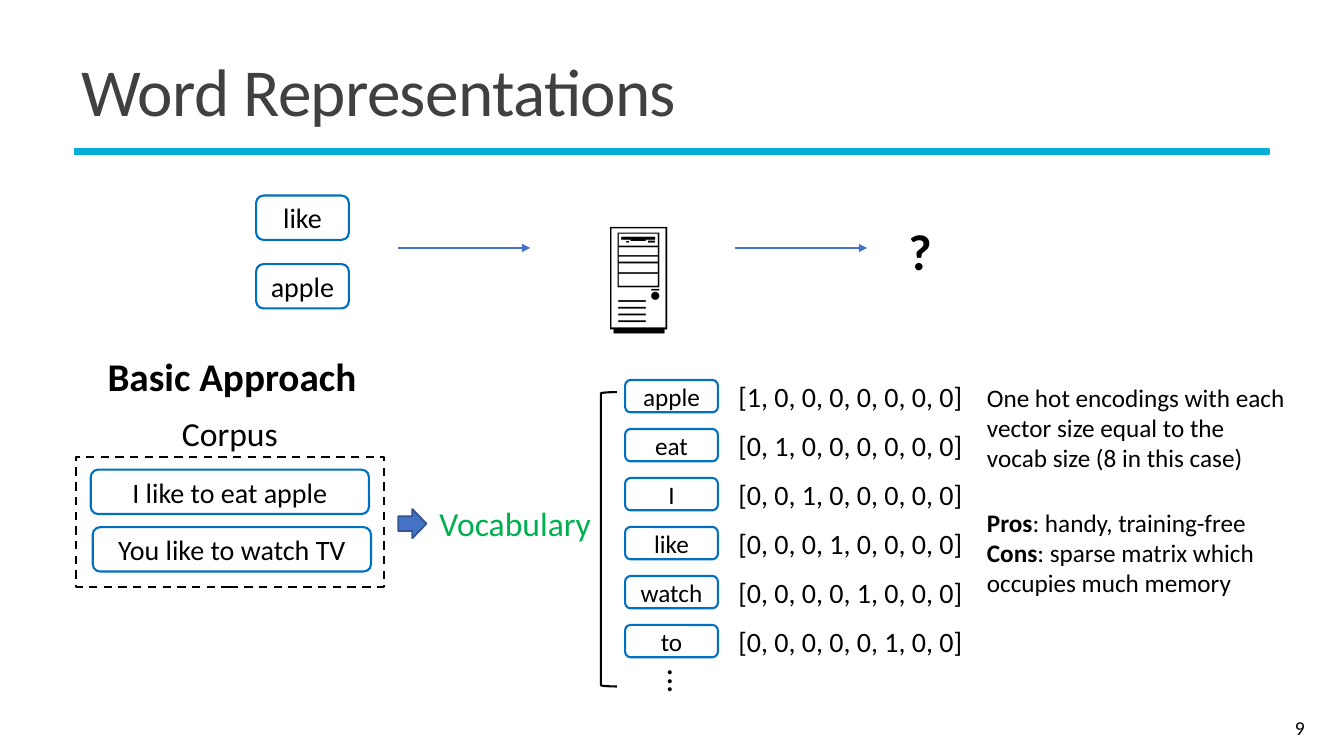
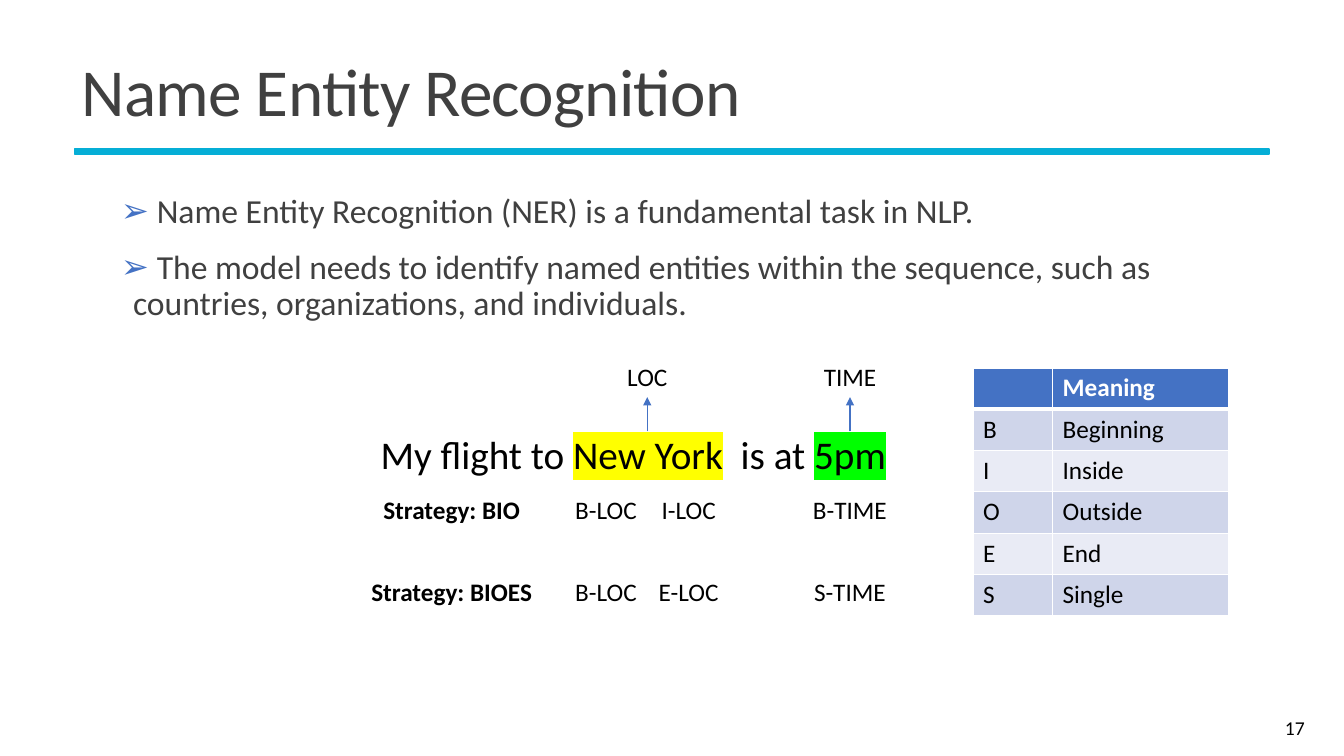
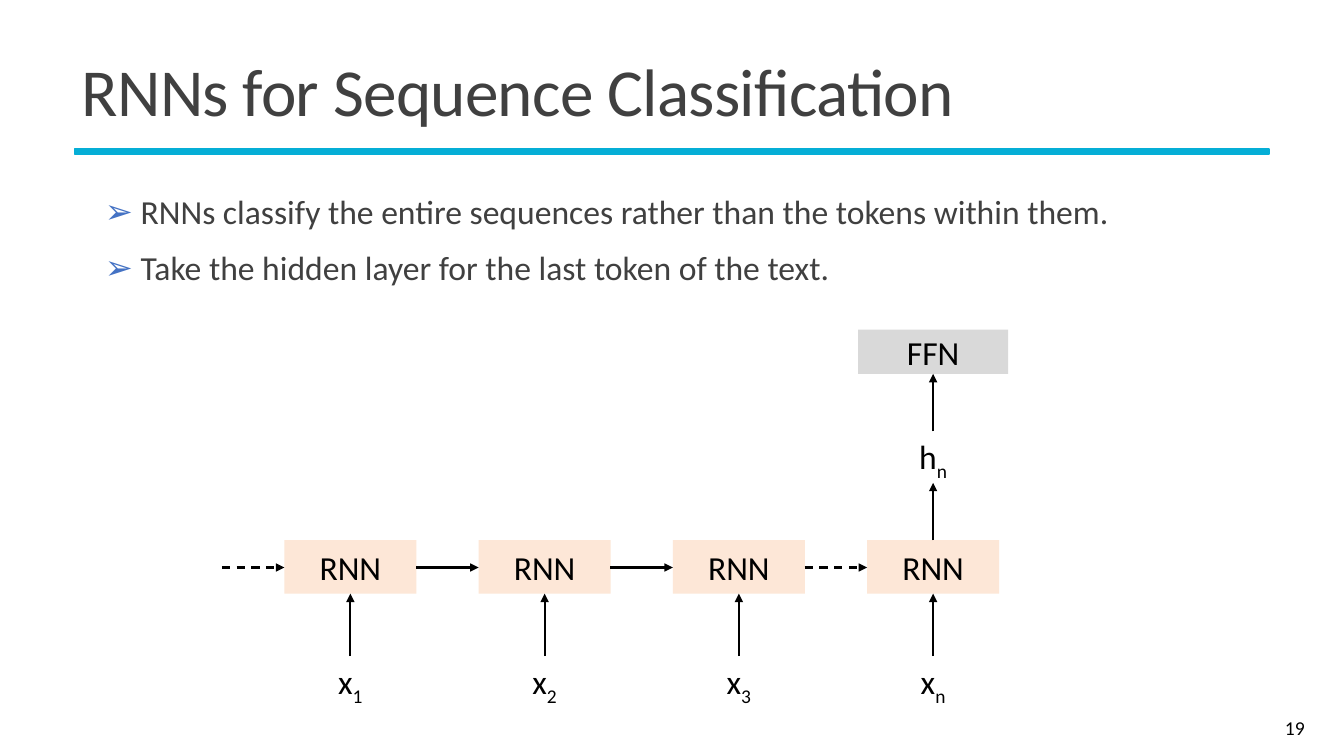
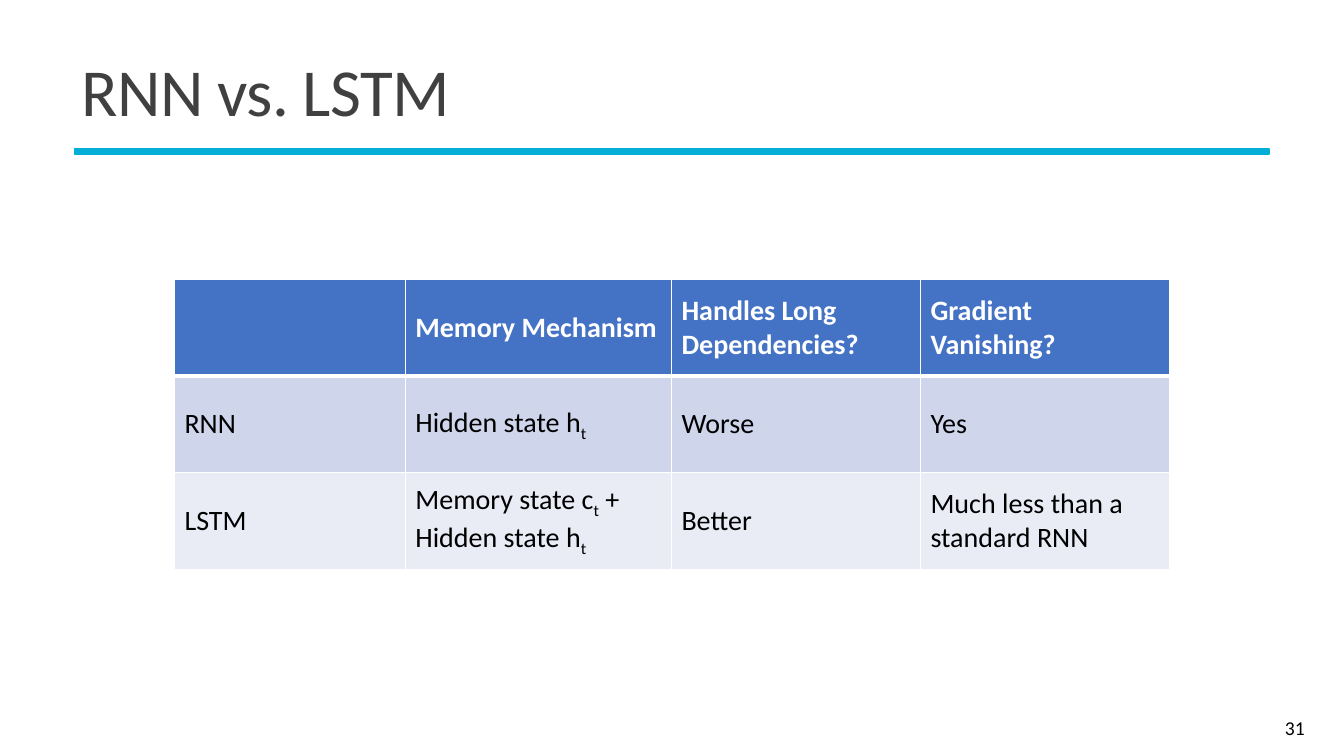
from dataclasses import dataclass
from typing import NamedTuple

from lxml.etree import SubElement
from pptx import Presentation
from pptx.dml.color import RGBColor
from pptx.enum.dml import MSO_LINE
from pptx.enum.shapes import MSO_CONNECTOR, MSO_SHAPE
from pptx.enum.text import MSO_ANCHOR, MSO_AUTO_SIZE, PP_ALIGN
from pptx.oxml.ns import qn
from pptx.util import Inches, Pt


@dataclass(frozen=True)
class Theme:
    font: str = "Calibri"
    black: str = "000000"
    white: str = "FFFFFF"
    grey: str = "404040"
    pale: str = "D9D9D9"
    peach: str = "FDE7D7"
    cyan: str = "05AED6"
    blue: str = "4472C4"
    navy: str = "325491"
    edge: str = "0070C0"
    green: str = "00B050"
    bands: tuple = ("E9EBF5", "CFD5EA")
    marks: tuple = ("FFFF00", "00FF00")
    title: int = 48
    huge: int = 80
    big: int = 36
    head: int = 28
    body: int = 24
    mid: int = 20
    small: int = 18
    page: int = 14


T = Theme()


class Box(NamedTuple):
    x: float
    y: float
    w: float
    h: float


class Span(NamedTuple):
    text: str
    bold: bool | None = None
    sub: bool = False
    mark: str | None = None


class Label(NamedTuple):
    text: str
    box: Box
    size: int = T.small
    bold: bool = False
    hue: str = T.black


Line = str | list[str | Span]
BAR = Box(0.74, 1.48, 11.85, 0.05)
TITLE = Box(0.71, 0.39, 11.94, 1.13)
PAGE = Box(11.61, 7.02, 1.43, 0.4)


def rgb(hue: str) -> RGBColor:
    return RGBColor.from_string(hue)


def place(shape, box: Box) -> None:
    shape.left, shape.top, shape.width, shape.height = map(Inches, box)


def put(frame, *lines: Line, size: int = T.small, hue: str = T.black,
        bold: bool = False, align=PP_ALIGN.CENTER, lead: float | None = None,
        track: int = 0) -> None:
    """Fill a text frame, one paragraph a line, in one format."""
    for i, line in enumerate(lines):
        para = frame.paragraphs[0] if i == 0 else frame.add_paragraph()
        para.alignment = align
        if lead:
            para.line_spacing = lead
        for part in [line] if isinstance(line, str) else line:
            span = Span(part) if isinstance(part, str) else part
            run = para.add_run()
            run.text = span.text
            font = run.font
            font.name, font.size = T.font, Pt(size)
            font.bold = bold if span.bold is None else span.bold
            font.color.rgb = rgb(hue)
            props = run.font._element
            if track:
                props.set("spc", str(track))
            if span.sub:
                props.set("baseline", "-25000")
            if span.mark:
                mark = SubElement(props, qn("a:highlight"))
                SubElement(mark, qn("a:srgbClr"), val=span.mark)
                props.find(qn("a:latin")).addprevious(mark)


def write(slide, box: Box, *lines: Line, wrap: bool = True,
          anchor=MSO_ANCHOR.TOP, turn: int = 0, **style) -> None:
    """Add a text box."""
    shape = slide.shapes.add_textbox(*map(Inches, box))
    shape.rotation = turn
    frame = shape.text_frame
    frame.word_wrap = wrap
    frame.vertical_anchor = anchor
    put(frame, *lines, **style)


def draw(slide, kind, box: Box, text: str = "", fill: str | None = None,
         edge: str | None = None, width: float = 1.5, dash: bool = False,
         **style):
    """Add a preset shape."""
    shape = slide.shapes.add_shape(kind, *map(Inches, box))
    shape.shadow.inherit = False
    if fill:
        shape.fill.solid()
        shape.fill.fore_color.rgb = rgb(fill)
    else:
        shape.fill.background()
    if edge:
        shape.line.color.rgb = rgb(edge)
        shape.line.width = Pt(width)
        if dash:
            shape.line.dash_style = MSO_LINE.DASH
    else:
        shape.line.fill.background()
    if text:
        shape.text_frame.vertical_anchor = MSO_ANCHOR.MIDDLE
        put(shape.text_frame, text, **style)
    return shape


def pill(slide, box: Box, text: str, size: int = T.mid) -> None:
    draw(slide, MSO_SHAPE.ROUNDED_RECTANGLE, box, text, edge=T.edge, size=size)


def arrow(slide, start: tuple[float, float], end: tuple[float, float],
          hue: str = T.black, width: float = 1.5, dash: bool = False) -> None:
    link = slide.shapes.add_connector(
        MSO_CONNECTOR.STRAIGHT, *map(Inches, (*start, *end)))
    link.line.color.rgb = rgb(hue)
    link.line.width = Pt(width)
    if dash:
        link.line.dash_style = MSO_LINE.DASH
    props = link.element.spPr
    SubElement(props.find(qn("a:ln")), qn("a:tailEnd"), type="triangle")
    SubElement(props, qn("a:effectLst"))


def rule(cell, widths: dict[str, int]) -> None:
    """Give a cell white borders, in points by side."""
    props = cell._tc.get_or_add_tcPr()
    for i, side in enumerate("LRTB"):
        line = SubElement(props, qn(f"a:ln{side}"), w=str(Pt(widths.get(side, 1))))
        fill = SubElement(line, qn("a:solidFill"))
        SubElement(fill, qn("a:srgbClr"), val=T.white)
        props.insert(i, line)


def grid(slide, x: float, y: float, cols: list[float], high: float,
         rows: list[list[Line]], size: int, anchor) -> None:
    """Add a table with a blue head row and banded rows below."""
    table = slide.shapes.add_table(
        len(rows), len(cols), Inches(x), Inches(y),
        Inches(sum(cols)), Inches(high * len(rows))).table
    for col, wide in zip(table.columns, cols):
        col.width = Inches(wide)
    for r, row in enumerate(rows):
        head = r == 0
        for c, text in enumerate(row):
            cell = table.cell(r, c)
            cell.vertical_anchor = anchor
            cell.fill.solid()
            cell.fill.fore_color.rgb = rgb(T.blue if head else T.bands[r % 2])
            rule(cell, {"B": 3} if head else {"T": 3} if r == 1 else {})
            if text:
                put(cell.text_frame, text, size=size, bold=head,
                    hue=T.white if head else T.black, align=PP_ALIGN.LEFT)


def start(deck, title: str, page: int, list_box: Box | None = None,
          points: tuple[str, ...] = ()):
    """Add a slide with its title, page number and, if given, a list."""
    slide = deck.slides.add_slide(deck.slide_layouts[1 if points else 5])
    shape = slide.shapes.title
    place(shape, TITLE)
    frame = shape.text_frame
    frame.auto_size = MSO_AUTO_SIZE.NONE
    frame.vertical_anchor = MSO_ANCHOR.MIDDLE
    put(frame, title, size=T.title, hue=T.grey, align=PP_ALIGN.LEFT,
        lead=0.85, track=-50)
    write(slide, PAGE, str(page), size=T.page, align=PP_ALIGN.RIGHT,
          anchor=MSO_ANCHOR.MIDDLE)
    if points:
        body = slide.placeholders[1]
        place(body, list_box)
        frame = body.text_frame
        frame.auto_size = MSO_AUTO_SIZE.NONE
        frame.margin_left = frame.margin_right = 0
        put(frame, *points, size=T.body, hue=T.grey, align=PP_ALIGN.LEFT,
            lead=0.9)
        for para in frame.paragraphs:
            para.space_before, para.space_after = Pt(12), Pt(2)
            props = para._p.get_or_add_pPr()
            props.set("marL", str(Inches(0.12)))
            props.set("indent", str(Inches(-0.12)))
            tint = SubElement(props, qn("a:buClr"))
            SubElement(tint, qn("a:srgbClr"), val=T.blue)
            SubElement(props, qn("a:buChar"), char="➢")
    return slide


def words(deck):
    slide = start(deck, "Word Representations", 9)
    for y, text in ((1.94, "like"), (2.62, "apple")):
        pill(slide, Box(2.54, y, 0.92, 0.44), text)
    for x in (3.95, 7.29):
        arrow(slide, (x, 2.46), (x + 1.31, 2.46), T.blue)
    for label in (
        Label("🖥️", Box(5.38, 1.94, 1.92, 1.45), T.huge),
        Label("?", Box(8.81, 2.13, 0.63, 0.71), T.big, True),
        Label("Basic Approach", Box(0.92, 3.45, 2.76, 0.57), T.head, True),
        Label("Corpus", Box(0.9, 4.05, 2.76, 0.5), T.body),
        Label("Vocabulary", Box(4.15, 4.94, 1.92, 0.5), T.body, hue=T.green),
    ):
        write(slide, label.box, label.text, size=label.size, bold=label.bold,
              hue=label.hue)

    pill(slide, Box(0.9, 4.66, 2.76, 0.44), "I like to eat apple")
    pill(slide, Box(0.92, 5.23, 2.76, 0.44), "You like to watch TV")
    draw(slide, MSO_SHAPE.RECTANGLE, Box(0.75, 4.53, 3.06, 1.29),
         edge=T.black, dash=True)
    draw(slide, MSO_SHAPE.RIGHT_ARROW, Box(3.95, 5.05, 0.28, 0.29),
         fill=T.blue, edge=T.navy, width=1.25)

    vocab = ("apple", "eat", "I", "like", "watch", "to")
    top, last = 3.77, 6.2
    for i, word in enumerate(vocab):
        y = top + i * (last - top) / (len(vocab) - 1)
        pill(slide, Box(6.2, y, 0.92, 0.32), word, T.small)
        bits = ", ".join(str(int(i == j)) for j in range(8))
        write(slide, Box(7.18, y - 0.05, 2.51, 0.44), f"[{bits}]", size=T.mid)
    write(slide, Box(6.51, 6.51, 0.5, 0.5), "...", size=T.body, turn=90)
    draw(slide, MSO_SHAPE.LEFT_BRACKET, Box(5.96, 3.89, 0.16, 2.92),
         edge=T.black)

    write(slide, Box(9.69, 3.74, 3.17, 1.01),
          "One hot encodings with each vector size equal to the vocab size "
          "(8 in this case)", align=PP_ALIGN.LEFT)
    write(slide, Box(9.69, 4.98, 3, 1.01),
          [Span("Pros", bold=True), ": handy, training-free"],
          [Span("Cons", bold=True), ": sparse matrix which occupies much memory"],
          align=PP_ALIGN.LEFT)
    return slide


def names(deck) -> None:
    slide = start(
        deck, "Name Entity Recognition", 17, Box(1.2, 1.88, 11, 1.86),
        (" Name Entity Recognition (NER) is a fundamental task in NLP.",
         " The model needs to identify named entities within the sequence, "
         "such as countries, organizations, and individuals."))
    write(slide, Box(3.29, 4.22, 5.98, 0.57),
          ["My flight to ", Span("New York", mark=T.marks[0]), "  is at ",
           Span("5pm", mark=T.marks[1])], size=T.head)
    for x, text in ((6.42, "LOC"), (8.43, "TIME")):
        write(slide, Box(x - 0.41, 3.54, 0.82, 0.4), text, wrap=False)
        arrow(slide, (x, 4.28), (x, 3.94), T.blue, 1)
    spots = ((3.55, 1.86), (5.6, 0.82), (6.42, 0.82), (7.96, 0.94))
    for y, tags in (
        (4.86, ("Strategy: BIO", "B-LOC", "I-LOC", "B-TIME")),
        (5.67, ("Strategy: BIOES", "B-LOC", "E-LOC", "S-TIME")),
    ):
        for i, ((x, wide), tag) in enumerate(zip(spots, tags)):
            write(slide, Box(x, y, wide, 0.4), tag, wrap=False, bold=i == 0)
    grid(slide, 9.65, 3.65, [0.79, 1.75], 0.41,
         [["", "Meaning"], ["B", "Beginning"], ["I", "Inside"],
          ["O", "Outside"], ["E", "End"], ["S", "Single"]],
         T.small, MSO_ANCHOR.TOP)


def chain(deck) -> None:
    slide = start(
        deck, "RNNs for Sequence Classification", 19,
        Box(1.04, 1.89, 11.26, 1.66),
        (" RNNs classify the entire sequences rather than the tokens within "
         "them.", " Take the hidden layer for the last token of the text."))
    steps = "123n"
    left, last, wide, gap = 2.82, 8.6, 1.31, 0.62
    top, high = 5.36, 0.53
    mid = left + wide / 2
    for i, step in enumerate(steps):
        x = left + i * (last - left) / (len(steps) - 1)
        mid = x + wide / 2
        draw(slide, MSO_SHAPE.RECTANGLE, Box(x, top, wide, high), "RNN",
             fill=T.peach, size=T.body)
        arrow(slide, (x - gap, 5.63), (x, 5.63), dash=step in "1n")
        arrow(slide, (mid, 6.51), (mid, top + high))
        write(slide, Box(mid - 0.32, 6.51, 0.64, 0.5),
              ["x", Span(step, sub=True)], size=T.body)
    write(slide, Box(mid - 0.32, 4.28, 0.64, 0.5),
          ["h", Span("n", sub=True)], size=T.body)
    draw(slide, MSO_SHAPE.RECTANGLE, Box(8.51, 3.27, 1.49, 0.44), "FFN",
         fill=T.pale, size=T.body)
    for low in (top, 4.28):
        arrow(slide, (mid, low), (mid, low - 0.57))


def match(deck) -> None:
    slide = start(deck, "RNN vs. LSTM", 31)
    sub = Span("t", sub=True)
    grid(slide, 1.73, 2.77, [2.29, 2.64, 2.47, 2.47], 0.96,
         [["", "Memory Mechanism", "Handles Long Dependencies?",
           "Gradient Vanishing?"],
          ["RNN", ["Hidden state h", sub], "Worse", "Yes"],
          ["LSTM", ["Memory state c", sub, " + Hidden state h", sub],
           "Better", "Much less than a standard RNN"]],
         T.mid, MSO_ANCHOR.MIDDLE)


def main() -> None:
    deck = Presentation()
    deck.slide_width, deck.slide_height = Inches(13.33), Inches(7.5)
    first = words(deck)
    # The bar belongs to the master, so every slide shows it.
    bar = draw(first, MSO_SHAPE.RECTANGLE, BAR, fill=T.cyan, edge=T.cyan,
               width=1.25)
    deck.slide_master.shapes.element.append(bar.element)
    names(deck)
    chain(deck)
    match(deck)
    deck.save("out.pptx")


if __name__ == "__main__":
    main()
